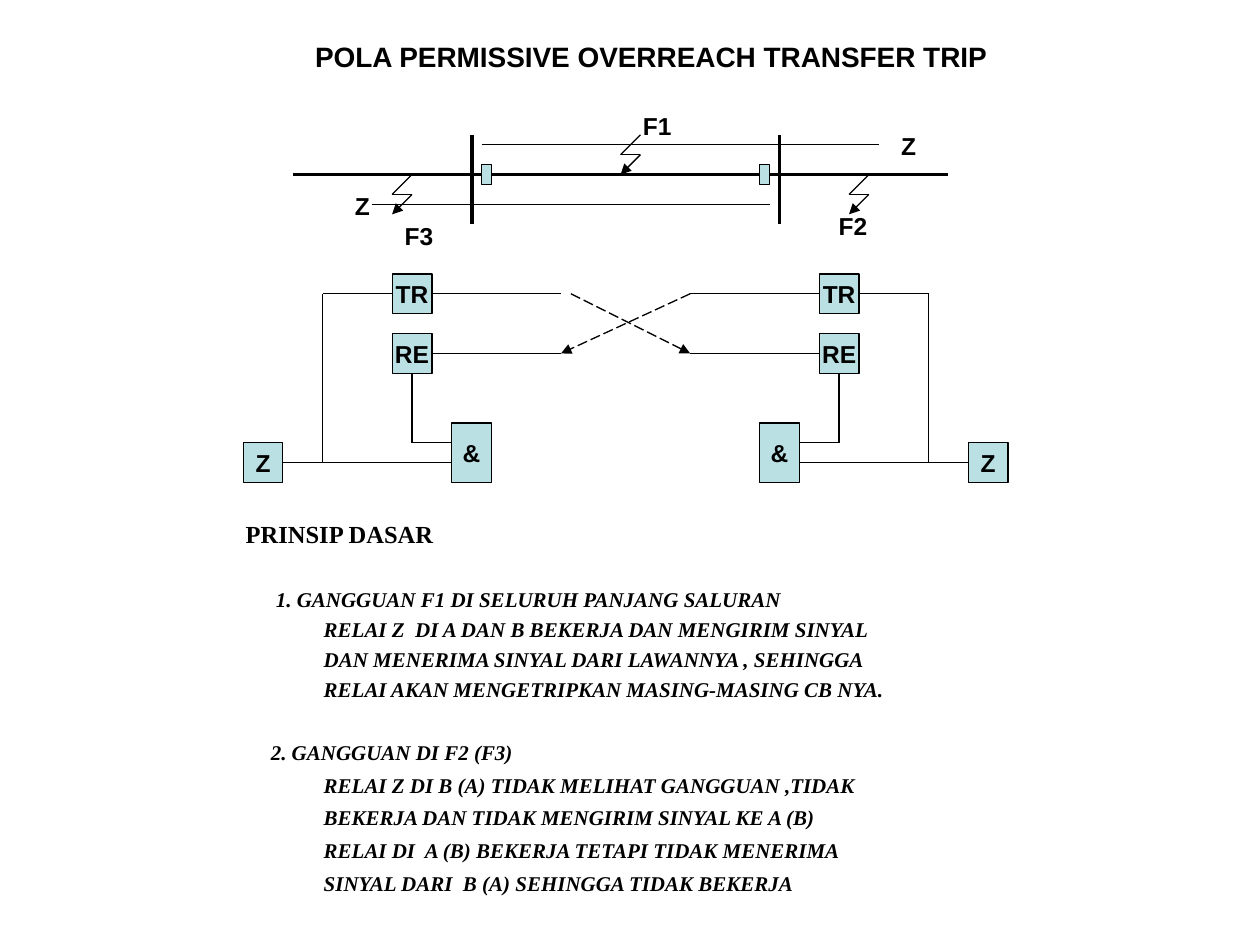
from dataclasses import dataclass
from lxml.etree import SubElement
from pptx import Presentation
from pptx.dml.color import RGBColor
from pptx.enum.dml import MSO_LINE_DASH_STYLE as Dash
from pptx.enum.shapes import MSO_CONNECTOR_TYPE as Connector, MSO_SHAPE as Shape
from pptx.enum.text import MSO_ANCHOR as Anchor, MSO_AUTO_SIZE as AutoSize, PP_ALIGN as Align
from pptx.oxml.ns import qn
from pptx.util import Inches, Pt


@dataclass(frozen=True)
class Theme:
    ink: RGBColor = RGBColor(0x00, 0x00, 0x00)
    box: RGBColor = RGBColor(0xBB, 0xE0, 0xE3)
    sans: str = "Arial"
    serif: str = "Times New Roman"
    title: int = 16
    label: int = 14
    body: int = 12
    thin: float = 0.75
    thick: float = 2.25


class Diagram:
    LEFT, TOP = 1.93, 1.07
    COLUMN, ROW = 6.07 / 77, 2.76 / 35

    def __init__(self, slide, theme):
        self.slide = slide
        self.theme = theme

    def x(self, column):
        return Inches(self.LEFT + column * self.COLUMN)

    def y(self, row):
        return Inches(self.TOP + row * self.ROW)

    def frame(self, column, row, columns, rows):
        return self.x(column), self.y(row), Inches(columns * self.COLUMN), Inches(rows * self.ROW)

    def style(self, paragraph, size, font=None, italic=False):
        for run in paragraph.runs:
            run.font.name = font or self.theme.sans
            run.font.size = Pt(size)
            run.font.bold = True
            run.font.italic = italic
            run.font.color.rgb = self.theme.ink

    def line(self, start, end, width=None, dashed=False, arrow=False):
        connector = self.slide.shapes.add_connector(
            Connector.STRAIGHT, self.x(start[0]), self.y(start[1]), self.x(end[0]), self.y(end[1]))
        connector.line.color.rgb = self.theme.ink
        connector.line.width = Pt(width or self.theme.thin)
        if dashed:
            connector.line.dash_style = Dash.LONG_DASH
        if arrow:
            SubElement(connector.line._get_or_add_ln(), qn("a:tailEnd"), type="triangle")
        SubElement(connector._element.spPr, qn("a:effectLst"))

    def polyline(self, *points, arrow=False):
        last = len(points) - 2
        for index, (start, end) in enumerate(zip(points, points[1:])):
            self.line(start, end, arrow=arrow and index == last)

    def box(self, column, row, columns, rows, text=""):
        shape = self.slide.shapes.add_shape(Shape.RECTANGLE, *self.frame(column, row, columns, rows))
        shape.shadow.inherit = False
        shape.fill.solid()
        shape.fill.fore_color.rgb = self.theme.box
        shape.line.color.rgb = self.theme.ink
        shape.line.width = Pt(self.theme.thin)
        if text:
            shape.text_frame.text = text
            shape.text_frame.word_wrap = False
            shape.text_frame.vertical_anchor = Anchor.MIDDLE
            paragraph = shape.text_frame.paragraphs[0]
            paragraph.alignment = Align.CENTER
            self.style(paragraph, self.theme.label)

    def label(self, column, row, text, columns, rows=4.3, size=None):
        shape = self.slide.shapes.add_textbox(*self.frame(column, row, columns, rows))
        text_frame = shape.text_frame
        text_frame.text = text
        text_frame.word_wrap = False
        text_frame.auto_size = AutoSize.SHAPE_TO_FIT_TEXT
        self.style(text_frame.paragraphs[0], size or self.theme.label)

    def fault(self, column, row):
        self.polyline((column, row), (column - 2, row + 2), (column, row + 2),
                      (column - 2, row + 4), arrow=True)

    def terminal(self, place):
        def box(column, row, columns, rows, text=""):
            self.box(min(place(column), place(column + columns)), row, columns, rows, text)

        def wire(*points):
            self.polyline(*[(place(column), row) for column, row in points])

        self.line((place(23), 0), (place(23), 9), self.theme.thick)
        box(24, 3, 1, 2)
        wire((24, 1 if place(0) == 0 else 7), (64, 1 if place(0) == 0 else 7))
        wire((4, 33), (21, 33))
        wire((17, 24), (17, 31), (21, 31))
        wire((15, 16), (8, 16), (8, 33))
        for row, text in ((14, "TR"), (20, "RE")):
            wire((19, row + 2), (32, row + 2))
            box(15, row, 4, 4, text)
        box(21, 29, 4, 6, "&")
        box(0, 31, 4, 4, "Z")

    def principles(self, column, row, columns, rows, heading, sections):
        shape = self.slide.shapes.add_textbox(*self.frame(column, row, columns, rows))
        text_frame = shape.text_frame
        text_frame.word_wrap = True
        text_frame.text = heading
        self.style(text_frame.paragraphs[0], self.theme.label, self.theme.serif)
        for spacing, gap, indent, lines in sections:
            for index, text in enumerate(lines):
                paragraph = text_frame.add_paragraph()
                paragraph.text = text
                paragraph.line_spacing = spacing
                paragraph.space_before = Pt(0 if index else gap)
                margin = Inches(0.62 if index else indent)
                paragraph._p.get_or_add_pPr().set("marL", str(margin))
                self.style(paragraph, self.theme.body, self.theme.serif, italic=True)


SECTIONS = [
    (1.2, 19, 0.24, [
        "1. GANGGUAN F1 DI SELURUH PANJANG SALURAN",
        "RELAI Z  DI A DAN B BEKERJA DAN MENGIRIM SINYAL",
        "DAN MENERIMA SINYAL DARI LAWANNYA , SEHINGGA",
        "RELAI AKAN MENGETRIPKAN MASING-MASING CB NYA.",
    ]),
    (1.3, 17, 0.2, [
        "2. GANGGUAN DI F2 (F3)",
        "RELAI Z DI B (A) TIDAK MELIHAT GANGGUAN ,TIDAK",
        "BEKERJA DAN TIDAK MENGIRIM SINYAL KE A (B)",
        "RELAI DI  A (B) BEKERJA TETAPI TIDAK MENERIMA",
        "SINYAL DARI  B (A) SEHINGGA TIDAK BEKERJA",
    ]),
]


def main():
    presentation = Presentation()
    presentation.slide_width, presentation.slide_height = Inches(10), Inches(7.5)
    slide = presentation.slides.add_slide(presentation.slide_layouts[6])
    theme = Theme()
    diagram = Diagram(slide, theme)

    diagram.label(6, -10.25, "POLA PERMISSIVE OVERREACH TRANSFER TRIP", 70.3, 4.7, theme.title)
    diagram.line((5, 4), (71, 4), theme.thick)
    diagram.terminal(lambda column: column)
    diagram.terminal(lambda column: 77 - column)
    diagram.line((33, 16), (45, 22), dashed=True, arrow=True)
    diagram.line((45, 16), (32, 22), dashed=True, arrow=True)

    for column, row in ((17, 4), (40, 0), (63, 4)):
        diagram.fault(column, row)
    for column, row, text in ((10, 5, "Z"), (65, -1, "Z")):
        diagram.label(column, row, text, 4)
    for column, row, text in ((39, -3, "F1"), (58.7, 7, "F2"), (15, 8, "F3")):
        diagram.label(column, row, text, 5.5)

    diagram.principles(-1, 38, 68, 42.7, "PRINSIP DASAR", SECTIONS)
    presentation.save("out.pptx")


if __name__ == "__main__":
    main()
